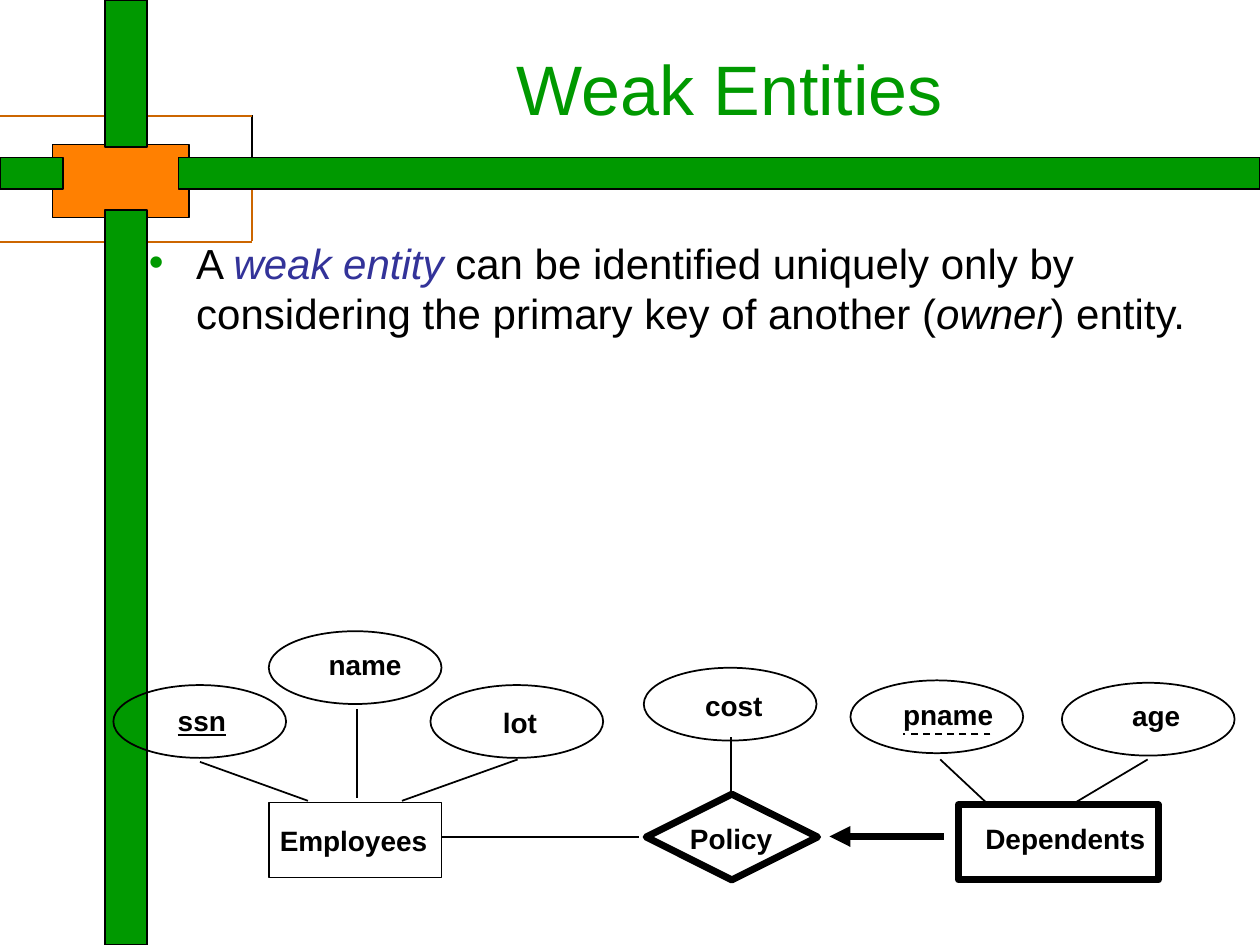
from dataclasses import dataclass

from lxml.etree import SubElement
from pptx import Presentation
from pptx.dml.color import RGBColor
from pptx.enum.dml import MSO_LINE
from pptx.enum.shapes import MSO_CONNECTOR, MSO_SHAPE
from pptx.enum.text import MSO_ANCHOR, MSO_AUTO_SIZE, PP_ALIGN
from pptx.oxml.ns import qn
from pptx.util import Pt


@dataclass(frozen=True)
class Theme:
    font: str = "Arial"
    black: str = "000000"
    green: str = "009900"
    orange: str = "FF8001"
    brown: str = "CC6600"
    blue: str = "333399"
    title: int = 40
    body: int = 24
    label: int = 16
    hair: float = 0.75
    thin: float = 1
    thick: float = 4


THEME = Theme()


def add_text(slide, runs, left, top, width, height, size, color=THEME.black,
             bold=False, underline=False, wrap=True, align=PP_ALIGN.LEFT,
             anchor=MSO_ANCHOR.TOP, bullet_color=None):
    """Add a one-paragraph text box; each run is (text, color or None, italic)."""
    box = slide.shapes.add_textbox(Pt(left), Pt(top), Pt(width), Pt(height))
    frame = box.text_frame
    frame.word_wrap = wrap
    if not wrap:
        frame.auto_size = MSO_AUTO_SIZE.SHAPE_TO_FIT_TEXT
    frame.vertical_anchor = anchor
    paragraph = frame.paragraphs[0]
    paragraph.alignment = align
    if bullet_color:
        add_bullet(paragraph, bullet_color)
    font = paragraph.font
    font.name, font.size = THEME.font, Pt(size)
    for text, run_color, italic in runs:
        run = paragraph.add_run()
        run.text = text
        run.font.name, run.font.size = THEME.font, Pt(size)
        run.font.bold, run.font.italic, run.font.underline = bold, italic, underline
        run.font.color.rgb = RGBColor.from_string(run_color or color)


def add_bullet(paragraph, color, indent=27):
    properties = paragraph._p.get_or_add_pPr()
    properties.set("marL", str(Pt(indent)))
    properties.set("indent", str(-Pt(indent)))
    bullet_color = SubElement(properties, qn("a:buClr"))
    SubElement(bullet_color, qn("a:srgbClr"), val=color)
    SubElement(properties, qn("a:buFont"), typeface=THEME.font)
    SubElement(properties, qn("a:buChar"), char="•")


def add_outline(slide, kind, left, top, width, height, weight, fill=None):
    shape = slide.shapes.add_shape(kind, Pt(left), Pt(top), Pt(width), Pt(height))
    shape.shadow.inherit = False
    if fill:
        shape.fill.solid()
        shape.fill.fore_color.rgb = RGBColor.from_string(fill)
    else:
        shape.fill.background()
    shape.line.color.rgb = RGBColor.from_string(THEME.black)
    shape.line.width = Pt(weight)
    SubElement(shape.line._get_or_add_ln(), qn("a:round"))


def add_line(slide, x1, y1, x2, y2, weight=THEME.thin, color=THEME.black,
             dashed=False, arrow_at_start=False):
    line = slide.shapes.add_connector(
        MSO_CONNECTOR.STRAIGHT, Pt(x1), Pt(y1), Pt(x2), Pt(y2))
    line.line.color.rgb = RGBColor.from_string(color)
    line.line.width = Pt(weight)
    if dashed:
        line.line.dash_style = MSO_LINE.DASH
    if arrow_at_start:
        SubElement(line.line._get_or_add_ln(), qn("a:headEnd"), type="triangle")
    SubElement(line._element.spPr, qn("a:effectLst"))


def add_label(slide, text, left, top, width, underline=False):
    add_text(slide, [(text, None, False)], left, top, width, 26, THEME.label,
             bold=True, underline=underline, wrap=False)


def add_frame(slide):
    # Black edges of the bars
    for edge in [(60, 0, 60, 66), (60, 138, 60, 540), (84, 0, 84, 66),
                 (84, 138, 84, 540), (144, 90, 720, 90), (144, 108, 720, 108),
                 (144, 66, 144, 90)]:
        add_line(slide, *edge, weight=THEME.hair)
    # Brown outline around the crossing
    for y in (66.1, 138.1):
        add_line(slide, 0, y, 60, y, color=THEME.brown)
        add_line(slide, 84, y, 144, y, color=THEME.brown)
    add_line(slide, 144, 138, 144, 108, color=THEME.brown)
    # Orange block with the green bars over it
    add_outline(slide, MSO_SHAPE.RECTANGLE, 30, 82.6, 78, 41.6, THEME.hair, THEME.orange)
    for bar in [(60, 120, 24, 420), (60, 0, 24, 84), (102, 90, 618, 18), (0, 90, 36, 18)]:
        add_outline(slide, MSO_SHAPE.RECTANGLE, *bar, THEME.hair, THEME.green)


def add_diagram(slide):
    # Attributes: oval position, then label text, position and width
    attributes = [
        (486, 388.8, "pname", 509, 394.8, 68),
        (606.8, 390.2, "age", 639.9, 395.8, 42),
        (64.8, 391.5, "ssn", 94.5, 398.6, 42),
        (246, 391.5, "lot", 280.3, 399.4, 34),
        (367.9, 381.6, "cost", 395.9, 389.9, 47),
        (153.6, 360.7, "name", 180.7, 366.4, 56),
    ]
    for left, top, text, text_left, text_top, width in attributes:
        add_outline(slide, MSO_SHAPE.OVAL, left, top, 98.7, 41.6, THEME.thin)
        add_label(slide, text, text_left, text_top, width, underline=text == "ssn")
    add_line(slide, 566, 419.3, 516, 419.3, dashed=True)

    # Entities and relationship
    nodes = [
        (MSO_SHAPE.RECTANGLE, 547.7, 459.8, 114.2, 43, THEME.thick,
         "Dependents", 556, 466, 106),
        (MSO_SHAPE.RECTANGLE, 153.6, 458.5, 98.7, 43, THEME.thin,
         "Employees", 152.8, 467.3, 98.5),
        (MSO_SHAPE.DIAMOND, 369.2, 453.8, 98, 49, THEME.thick,
         "Policy", 387.2, 466, 61.5),
    ]
    for kind, left, top, width, height, weight, text, *label_place in nodes:
        add_outline(slide, kind, left, top, width, height, weight)
        add_label(slide, text, *label_place)

    # Links
    for link in [(204.2, 405.4, 204.2, 456), (114.3, 435.4, 176, 457.6),
                 (295.8, 434, 229.7, 457.6), (417.6, 455, 417.6, 421),
                 (537.3, 434, 564, 459), (655.8, 434, 613.8, 459),
                 (365, 478.1, 252.3, 478.1)]:
        add_line(slide, *link)
    add_line(slide, 474, 478, 539.2, 478, weight=THEME.thick, arrow_at_start=True)


def main():
    presentation = Presentation()
    presentation.slide_width, presentation.slide_height = Pt(720), Pt(540)
    slide = presentation.slides.add_slide(presentation.slide_layouts[6])
    add_frame(slide)
    # Title and definition
    add_text(slide, [("Weak Entities", None, False)], 150, 22, 534, 56,
             THEME.title, THEME.green, align=PP_ALIGN.CENTER, anchor=MSO_ANCHOR.MIDDLE)
    definition = [
        ("A ", None, False),
        ("weak entity ", THEME.blue, True),
        ("can be identified uniquely only by considering the primary key of another (",
         None, False),
        ("owner", None, True),
        (") entity.", None, False),
    ]
    add_text(slide, definition, 78, 132, 624, 180, THEME.body, bullet_color=THEME.green)
    add_diagram(slide)
    presentation.save("out.pptx")


if __name__ == "__main__":
    main()
